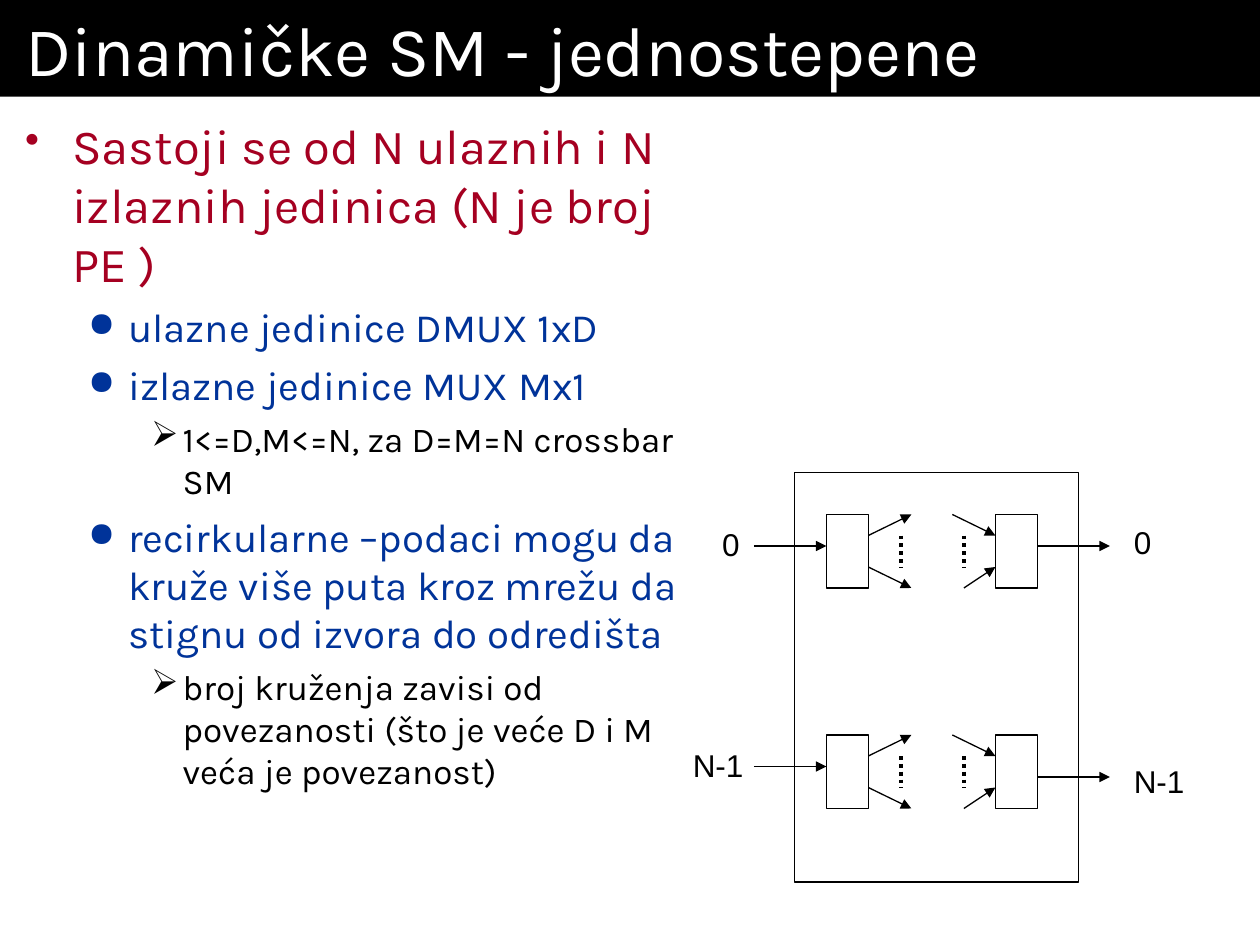
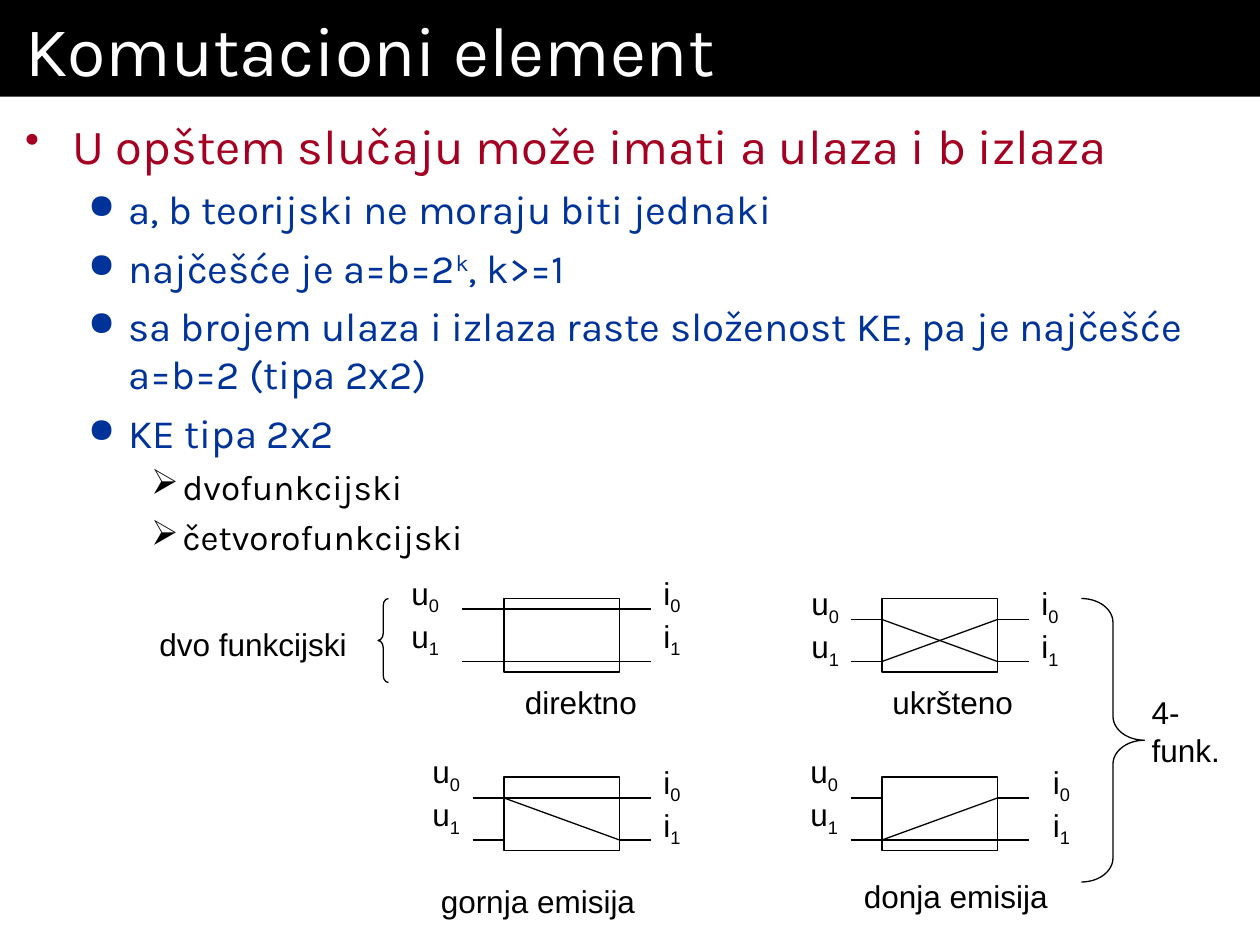
from dataclasses import dataclass
from typing import NamedTuple

from lxml import etree
from pptx import Presentation
from pptx.dml.color import RGBColor
from pptx.enum.dml import MSO_LINE
from pptx.enum.shapes import MSO_CONNECTOR, MSO_SHAPE
from pptx.enum.text import MSO_ANCHOR, MSO_AUTO_SIZE
from pptx.oxml.ns import qn
from pptx.util import Emu, Pt

PX = 7620  # 120 px to the inch
WIDTH, HEIGHT, TITLE_H = 1200, 900, 92

BLACK = RGBColor(0x00, 0x00, 0x00)
WHITE = RGBColor(0xFF, 0xFF, 0xFF)
RED = RGBColor(0xA5, 0x00, 0x21)
BLUE = RGBColor(0x00, 0x33, 0x99)
HEAD_FONT, LABEL_FONT = "Karla", "Arial"

RECT, LEFT_BRACE, RIGHT_BRACE = MSO_SHAPE.RECTANGLE, MSO_SHAPE.LEFT_BRACE, MSO_SHAPE.RIGHT_BRACE
STRAIGHT = MSO_CONNECTOR.STRAIGHT
DOTTED = MSO_LINE.ROUND_DOT
TOP, BOTTOM = MSO_ANCHOR.TOP, MSO_ANCHOR.BOTTOM
FIT_SHAPE, NO_FIT = MSO_AUTO_SIZE.SHAPE_TO_FIT_TEXT, MSO_AUTO_SIZE.NONE


class Run(NamedTuple):
    text: str
    baseline: int = 0  # percent, negative for a subscript


class Style(NamedTuple):
    size: float
    color: RGBColor
    font: str = HEAD_FONT


class Level(NamedTuple):
    style: Style
    margin: int
    hang: int
    before: float
    bullet: str
    bullet_size: int


class Item(NamedTuple):
    level: int
    runs: list[Run]


class Label(NamedTuple):
    x: int
    y: int
    w: int
    text: str


@dataclass
class Stage:
    """A demultiplexer and a multiplexer on one row of the network."""
    top: int
    out_y: int
    labels: list[Label]


@dataclass
class Switch:
    """A 2x2 element; links pair the index of an input with that of an output."""
    x: int
    y: int
    wires: tuple[int, int]
    links: list[tuple[int, int]]
    caption: Label
    inputs: tuple[int, int]
    outputs: tuple[int, int]
    stub: int = 30
    through: bool = False


TITLE = Style(40, WHITE)
LABEL = Style(18, BLACK, LABEL_FONT)
LEVELS = [
    Level(Style(28, RED), 45, 45, 7, "•", 85),
    Level(Style(23, BLUE), 98, 38, 5.8, "●", 85),
    Level(Style(20, BLACK), 150, 30, 5, "➢", 100),
]

NETWORK_ITEMS = [
    Item(0, [Run("Sastoji se od N ulaznih i N izlaznih jedinica (N je broj PE )")]),
    Item(1, [Run("ulazne jedinice DMUX 1xD")]),
    Item(1, [Run("izlazne jedinice MUX Mx1")]),
    Item(2, [Run("1<=D,M<=N, za D=M=N crossbar SM")]),
    Item(1, [Run("recirkularne –podaci mogu da kruže više puta kroz mrežu "
                 "da stignu od izvora do odredišta")]),
    Item(2, [Run("broj kruženja zavisi od povezanosti "
                 "(što je veće D i M veća je povezanost)")]),
]
STAGES = [
    Stage(490, 520, [Label(676, 494, 41, "0"), Label(1068, 492, 41, "0")]),
    Stage(700, 740, [Label(648, 704, 72, "N-1"), Label(1068, 720, 72, "N-1")]),
]

ELEMENT_ITEMS = [
    Item(0, [Run("U opštem slučaju može imati a ulaza i b izlaza")]),
    Item(1, [Run("a, b teorijski ne moraju biti jednaki")]),
    Item(1, [Run("najčešće je a=b=2"), Run("k", 30), Run(", k>=1")]),
    Item(1, [Run("sa brojem ulaza i izlaza raste složenost KE, "
                 "pa je najčešće a=b=2 (tipa 2x2)")]),
    Item(1, [Run("KE tipa 2x2")]),
    Item(2, [Run("dvofunkcijski")]),
    Item(2, [Run("četvorofunkcijski")]),
]
SWITCHES = [
    Switch(480, 570, (580, 630), [(0, 0), (1, 1)], Label(488, 644, 131, "direktno"),
           (380, 540), (620, 540), stub=40, through=True),
    Switch(840, 570, (590, 630), [(0, 1), (1, 0)], Label(838, 644, 139, "ukršteno"),
           (761, 550), (980, 550)),
    Switch(480, 740, (760, 800), [(0, 0), (0, 1)], Label(408, 834, 209, "gornja emisija"),
           (400, 710), (620, 720)),
    Switch(840, 740, (760, 800), [(1, 0), (1, 1)], Label(811, 829, 199, "donja emisija"),
           (760, 710), (991, 720)),
]
FUNCTION_LABELS = [Label(140, 589, 202, "dvo funkcijski"), Label(1085, 690, 115, "4-funk.")]


def px(n: int) -> Emu:
    return Emu(n * PX)


def add_runs(p, runs: list[Run], style: Style) -> None:
    for run in runs:
        r = p.add_run()
        r.text = run.text
        r.font.size = Pt(style.size)
        r.font.name = style.font
        r.font.color.rgb = style.color
        if run.baseline:
            r._r.get_or_add_rPr().set("baseline", str(run.baseline * 1000))


def set_bullet(p, level: Level) -> None:
    pPr = p._p.get_or_add_pPr()
    pPr.set("marL", str(px(level.margin)))
    pPr.set("indent", str(-px(level.hang)))
    color = etree.SubElement(pPr, qn("a:buClr"))
    etree.SubElement(color, qn("a:srgbClr"), val=str(level.style.color))
    etree.SubElement(pPr, qn("a:buSzPct"), val=str(level.bullet_size * 1000))
    etree.SubElement(pPr, qn("a:buChar"), char=level.bullet)


def add_box(shapes, x: int, y: int, w: int, h: int, pad: tuple[int, int],
            anchor=TOP, wrap: bool = True, fit=NO_FIT):
    sp = shapes.add_textbox(px(x), px(y), px(w), px(h))
    tf = sp.text_frame
    tf.word_wrap = wrap
    tf.auto_size = fit
    tf.vertical_anchor = anchor
    tf.margin_left = tf.margin_right = px(pad[0])
    tf.margin_top = tf.margin_bottom = px(pad[1])
    return sp


def add_label(shapes, x: int, y: int, w: int, lines: list[list[Run]]) -> None:
    h = 2 + 46 * len(lines)
    tf = add_box(shapes, x, y, w, h, (12, 6), BOTTOM, False, FIT_SHAPE).text_frame
    for i, runs in enumerate(lines):
        p = tf.add_paragraph() if i else tf.paragraphs[0]
        add_runs(p, runs, LABEL)


def add_caption(shapes, label: Label) -> None:
    add_label(shapes, label.x, label.y, label.w, [[Run(label.text)]])


def add_ports(shapes, x: int, y: int, w: int, letter: str) -> None:
    add_label(shapes, x, y, w, [[Run(letter), Run(str(i), -25)] for i in range(2)])


def add_outline(shapes, kind, x: int, y: int, w: int, h: int):
    sp = shapes.add_shape(kind, px(x), px(y), px(w), px(h))
    sp.shadow.inherit = False
    sp.fill.background()
    sp.line.color.rgb = BLACK
    sp.line.width = Pt(0.75)
    return sp


def add_line(shapes, x1: int, y1: int, x2: int, y2: int,
             arrow: bool = False, dotted: bool = False) -> None:
    cxn = shapes.add_connector(STRAIGHT, px(x1), px(y1), px(x2), px(y2))
    cxn.line.color.rgb = BLACK
    cxn.line.width = Pt(2.25 if dotted else 0.75)
    if dotted:
        cxn.line.dash_style = DOTTED
    if arrow:
        etree.SubElement(cxn.line._get_or_add_ln(), qn("a:tailEnd"), type="triangle")
    etree.SubElement(cxn._element.spPr, qn("a:effectLst"))


def add_slide(prs, title: str, items: list[Item], body_w: int):
    """Add a slide with the title band and the bulleted body."""
    s = prs.slides.add_slide(prs.slide_layouts[6])
    band = add_box(s.shapes, 0, 0, WIDTH, TITLE_H, (24, 6))
    band.fill.solid()
    band.fill.fore_color.rgb = BLACK
    add_runs(band.text_frame.paragraphs[0], [Run(title)], TITLE)

    tf = add_box(s.shapes, 0, TITLE_H, body_w, HEIGHT - TITLE_H, (24, 18)).text_frame
    for i, item in enumerate(items):
        p = tf.add_paragraph() if i else tf.paragraphs[0]
        level = LEVELS[item.level]
        p.level = item.level
        p.space_before = Pt(level.before)
        set_bullet(p, level)
        add_runs(p, item.runs, level.style)
    return s


def draw_stage(shapes, stage: Stage) -> None:
    demux, mux, w, h = 787, 948, 40, 70
    top, upper, lower, bottom = (stage.top + dy for dy in (0, 20, 50, 70))
    for x in (demux, mux):
        add_outline(shapes, RECT, x, top, w, h)
    arrows = [
        (718, top + 30, demux, top + 30),
        (mux + w, stage.out_y, 1057, stage.out_y),
        (demux + w, upper, 868, top),
        (demux + w, lower, 868, bottom),
        (907, top, mux, upper),
        (918, bottom, mux, lower),
    ]
    for ends in arrows:
        add_line(shapes, *ends, arrow=True)
    for x in (858, 918):
        add_line(shapes, x, upper, x, lower, dotted=True)
    for label in stage.labels:
        add_caption(shapes, label)


def draw_switch(shapes, sw: Switch) -> None:
    w, h, out_stub = 110, 70, 30
    left, right = sw.x, sw.x + w
    start, end = left - sw.stub, right + out_stub
    add_outline(shapes, RECT, left, sw.y, w, h)
    if sw.through:
        left, right = start, end
    else:
        for y in sw.wires:
            add_line(shapes, start, y, left, y)
            add_line(shapes, right, y, end, y)
    for i, o in sw.links:
        add_line(shapes, left, sw.wires[i], right, sw.wires[o])
    add_ports(shapes, *sw.inputs, 50, "u")
    add_ports(shapes, *sw.outputs, 40, "i")
    add_caption(shapes, sw.caption)


def build_network(prs) -> None:
    s = add_slide(prs, "Dinamičke SM - jednostepene", NETWORK_ITEMS, 670)
    shapes = s.shapes.add_group_shape().shapes
    add_outline(shapes, RECT, 757, 450, 270, 390)
    for stage in STAGES:
        draw_stage(shapes, stage)


def build_element(prs) -> None:
    s = add_slide(prs, "Komutacioni element", ELEMENT_ITEMS, WIDTH)
    for sw in SWITCHES:
        draw_switch(s.shapes, sw)
    add_outline(s.shapes, LEFT_BRACE, 360, 570, 10, 80).adjustments[0] = 0.67
    add_outline(s.shapes, RIGHT_BRACE, 1030, 570, 60, 270).adjustments[0] = 0.38
    for label in FUNCTION_LABELS:
        add_caption(s.shapes, label)


def main() -> None:
    prs = Presentation()
    prs.slide_width, prs.slide_height = px(WIDTH), px(HEIGHT)
    build_network(prs)
    build_element(prs)
    prs.save("out.pptx")


if __name__ == "__main__":
    main()
